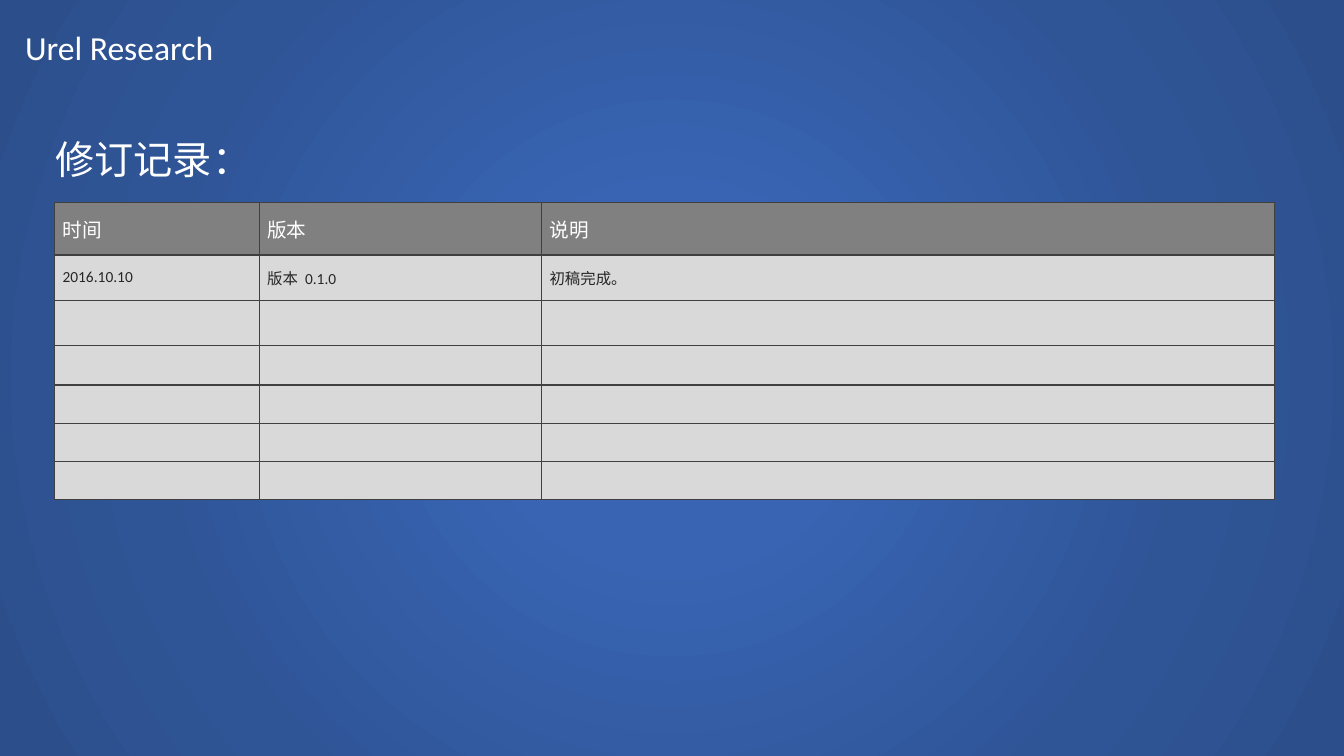
"""Build the revision history slide."""
from dataclasses import dataclass

from lxml import etree
from pptx import Presentation
from pptx.dml.color import RGBColor
from pptx.enum.shapes import MSO_SHAPE
from pptx.enum.text import MSO_ANCHOR, MSO_AUTO_SIZE, PP_ALIGN
from pptx.oxml.ns import qn
from pptx.util import Inches, Pt

RECTANGLE = MSO_SHAPE.RECTANGLE
TOP, MIDDLE = MSO_ANCHOR.TOP, MSO_ANCHOR.MIDDLE
LEFT = PP_ALIGN.LEFT
GROW = MSO_AUTO_SIZE.SHAPE_TO_FIT_TEXT

TITLE_ONLY = 5
FONT = "Calibri"
WHITE, INK, BORDER = "FFFFFF", "262626", "404040"
BACKDROP_STOPS = [(0, "3864B3"), (23, "3864B3"), (69, "2F5597"), (97, "2C4F8C")]

COLUMN_WIDTHS = [2.03, 2.8, 7.27]
ROW_HEIGHTS = [0.52, 0.45, 0.45, 0.39, 0.38, 0.38, 0.38]
REVISIONS = [
    ("时间", "版本", "说明"),
    ("2016.10.10", "版本  0.1.0", "初稿完成。"),
]


@dataclass
class Box:
    """Position and size in inches."""
    left: float
    top: float
    width: float
    height: float

    def lengths(self):
        """Return the four values as lengths."""
        return [Inches(v) for v in (self.left, self.top, self.width, self.height)]


@dataclass
class RowStyle:
    """Look of one kind of table row."""
    fill: str
    color: str
    size: float


HEADER_ROW = RowStyle("808080", WHITE, 14)
BODY_ROW = RowStyle("D9D9D9", INK, 11)


def rgb(value: str) -> RGBColor:
    """Turn a hex string into a colour."""
    return RGBColor.from_string(value)


def write(frame, text: str, *, size: float, color: str, anchor=TOP) -> None:
    """Put one formatted line of text into a text frame."""
    frame.vertical_anchor = anchor
    line = frame.paragraphs[0]
    line.alignment = LEFT
    if not text:
        etree.SubElement(line._p, qn("a:endParaRPr"), sz=str(int(size * 100)))
        return
    run = line.add_run()
    run.text = text
    run.font.name = FONT
    run.font.size = Pt(size)
    run.font.color.rgb = rgb(color)


def add_solid(parent, color: str) -> None:
    """Append a colour element to an XML parent."""
    etree.SubElement(parent, qn("a:srgbClr"), val=color)


def draw_backdrop(slide, box: Box) -> None:
    """Draw the radial gradient behind everything else."""
    backdrop = slide.shapes.add_shape(RECTANGLE, *box.lengths())
    backdrop.shadow.inherit = False
    backdrop.line.fill.background()
    backdrop.fill.background()
    no_fill = backdrop.element.spPr.find(qn("a:noFill"))
    gradient = etree.Element(qn("a:gradFill"), rotWithShape="1")
    stops = etree.SubElement(gradient, qn("a:gsLst"))
    for percent, color in BACKDROP_STOPS:
        add_solid(etree.SubElement(stops, qn("a:gs"), pos=str(percent * 1000)), color)
    circle = etree.SubElement(gradient, qn("a:path"), path="circle")
    etree.SubElement(circle, qn("a:fillToRect"),
                     {side: "50000" for side in "ltrb"})
    backdrop.element.spPr.replace(no_fill, gradient)
    backdrop.element.getparent().insert(2, backdrop.element)


def fit_frame(shape):
    """Make a shape's text wrap and its height follow the text."""
    frame = shape.text_frame
    frame.word_wrap = True
    frame.auto_size = GROW
    return frame


def style_cell(cell, text: str, style: RowStyle) -> None:
    """Give a cell its borders, fill, margins and text."""
    properties = cell._tc.get_or_add_tcPr()
    for side in ("lnL", "lnR", "lnT", "lnB"):
        edge = etree.SubElement(properties, qn(f"a:{side}"), w=str(Pt(1)))
        add_solid(etree.SubElement(edge, qn("a:solidFill")), BORDER)
    cell.fill.solid()
    cell.fill.fore_color.rgb = rgb(style.fill)
    cell.margin_left = cell.margin_right = Inches(0.08)
    cell.margin_top = cell.margin_bottom = Inches(0.04)
    cell.vertical_anchor = MIDDLE
    write(cell.text_frame, text, size=style.size, color=style.color, anchor=MIDDLE)


def draw_revisions(slide, box: Box) -> None:
    """Draw the revision table, with blank rows after the entries."""
    table = slide.shapes.add_table(
        len(ROW_HEIGHTS), len(COLUMN_WIDTHS), *box.lengths()).table
    table.horz_banding = False
    for column, width in zip(table.columns, COLUMN_WIDTHS):
        column.width = Inches(width)
    for index, (row, height) in enumerate(zip(table.rows, ROW_HEIGHTS)):
        row.height = Inches(height)
        texts = REVISIONS[index] if index < len(REVISIONS) else [""] * len(COLUMN_WIDTHS)
        for cell, text in zip(row.cells, texts):
            style_cell(cell, text, BODY_ROW if index else HEADER_ROW)


def main() -> None:
    """Build and save the presentation."""
    deck = Presentation()
    deck.slide_width, deck.slide_height = Inches(13.33), Inches(7.5)
    slide = deck.slides.add_slide(deck.slide_layouts[TITLE_ONLY])
    draw_backdrop(slide, Box(0, 0, 13.33, 7.5))

    team = slide.shapes.add_textbox(*Box(0.15, 0.22, 5.04, 0.5).lengths())
    write(fit_frame(team), "Urel Research", size=24, color=WHITE)

    heading = slide.shapes.title
    heading.left, heading.top, heading.width, heading.height = Box(
        0.45, 1.29, 11.77, 0.57).lengths()
    write(fit_frame(heading), "修订记录：", size=28, color=WHITE)

    draw_revisions(slide, Box(0.54, 2.01, sum(COLUMN_WIDTHS), sum(ROW_HEIGHTS)))
    deck.save("out.pptx")


if __name__ == "__main__":
    main()
